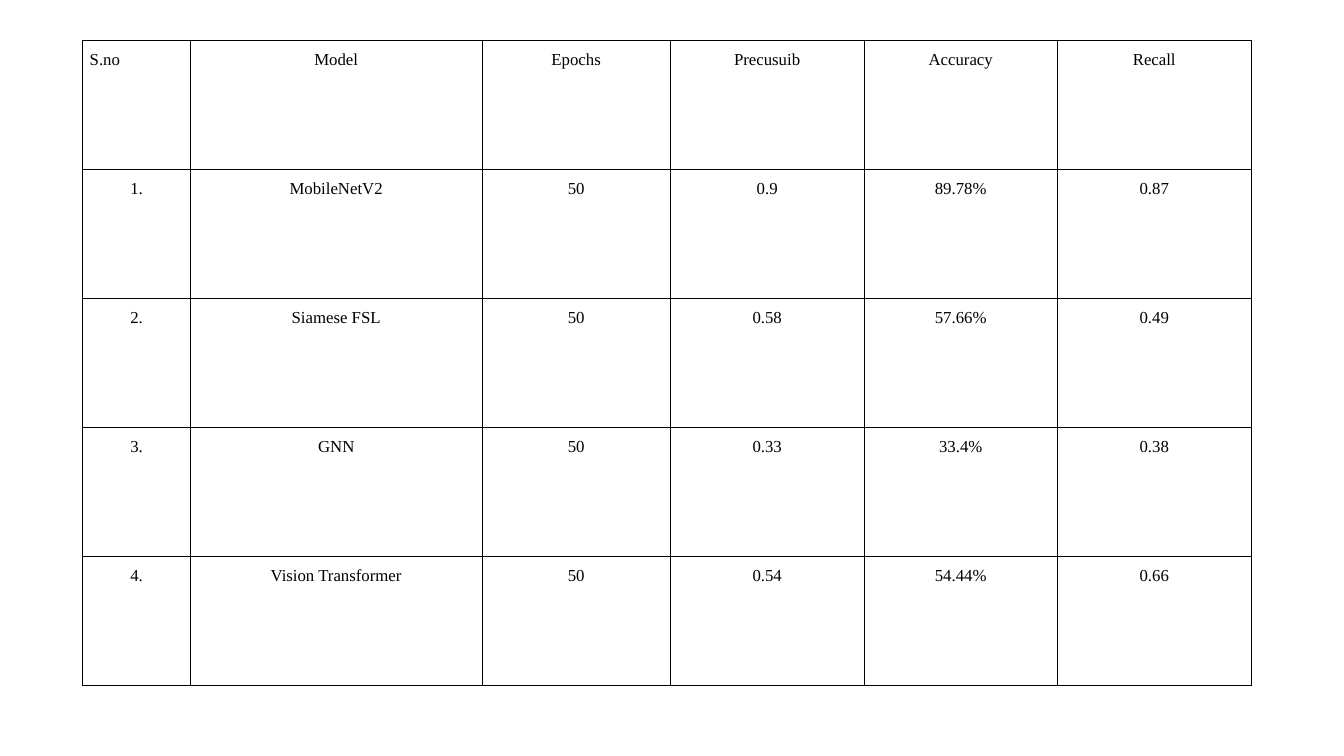
import dataclasses

import pptx
import pptx.dml.color
import pptx.enum.text
import pptx.oxml
import pptx.oxml.ns
import pptx.util

Inches, Pt = pptx.util.Inches, pptx.util.Pt
ALIGN = pptx.enum.text.PP_ALIGN

HEADERS = ("S.no", "Model", "Epochs", "Precusuib", "Accuracy", "Recall")
RESULTS = [
    ("1.", "MobileNetV2", "50", "0.9", "89.78%", "0.87"),
    ("2.", "Siamese FSL", "50", "0.58", "57.66%", "0.49"),
    ("3.", "GNN", "50", "0.33", "33.4%", "0.38"),
    ("4.", "Vision Transformer", "50", "0.54", "54.44%", "0.66"),
]
COLUMN_WIDTHS = (1.07, 2.89, 1.87, 1.92, 1.92, 1.92)
ROW_HEIGHT = 1.28
TABLE_LEFT, TABLE_TOP = 0.82, 0.4


@dataclasses.dataclass(frozen=True)
class Theme:
    font: str = "Times New Roman"
    ink: str = "000000"
    paper: str = "FFFFFF"
    text_size: float = 12
    border_width: float = 0.6
    cell_margin: float = 0.07


THEME = Theme()


def rgb(color):
    return pptx.dml.color.RGBColor.from_string(color)


def set_text(tf, text, align=ALIGN.CENTER, size=THEME.text_size, color=THEME.ink):
    p = tf.paragraphs[0]
    p.alignment = align
    p.line_spacing = 1.15
    p.space_before = p.space_after = Pt(12)
    r = p.add_run()
    r.text = text
    r.font.name = THEME.font
    r.font.size = Pt(size)
    r.font.color.rgb = rgb(color)


def set_borders(cell):
    """Draw all four sides; the lines must precede the fill in the cell's XML."""
    props = cell._tc.get_or_add_tcPr()
    for i, side in enumerate(("lnL", "lnR", "lnT", "lnB")):
        props.insert(i, pptx.oxml.parse_xml(
            f'<a:{side} {pptx.oxml.ns.nsdecls("a")} w="{Pt(THEME.border_width)}">'
            f'<a:solidFill><a:srgbClr val="{THEME.ink}"/></a:solidFill></a:{side}>'))


def format_cell(cell):
    margin = Inches(THEME.cell_margin)
    cell.margin_left = cell.margin_right = margin
    cell.margin_top = cell.margin_bottom = margin
    cell.fill.solid()
    cell.fill.fore_color.rgb = rgb(THEME.paper)
    set_borders(cell)


def add_results_table(slide):
    rows = [HEADERS, *RESULTS]
    table = slide.shapes.add_table(
        len(rows), len(HEADERS), Inches(TABLE_LEFT), Inches(TABLE_TOP),
        Inches(sum(COLUMN_WIDTHS)), Inches(ROW_HEIGHT * len(rows))).table
    table.horz_banding = table.first_row = False
    for column, width in zip(table.columns, COLUMN_WIDTHS):
        column.width = Inches(width)
    for i, row in enumerate(rows):
        table.rows[i].height = Inches(ROW_HEIGHT)
        for j, text in enumerate(row):
            cell = table.cell(i, j)
            format_cell(cell)
            align = ALIGN.LEFT if i == j == 0 else ALIGN.CENTER
            set_text(cell.text_frame, text, align=align)


def main():
    prs = pptx.Presentation()
    prs.slide_width, prs.slide_height = Inches(13.33), Inches(7.5)
    slide = prs.slides.add_slide(prs.slide_layouts.get_by_name("Blank"))
    add_results_table(slide)
    prs.save("out.pptx")


if __name__ == "__main__":
    main()
